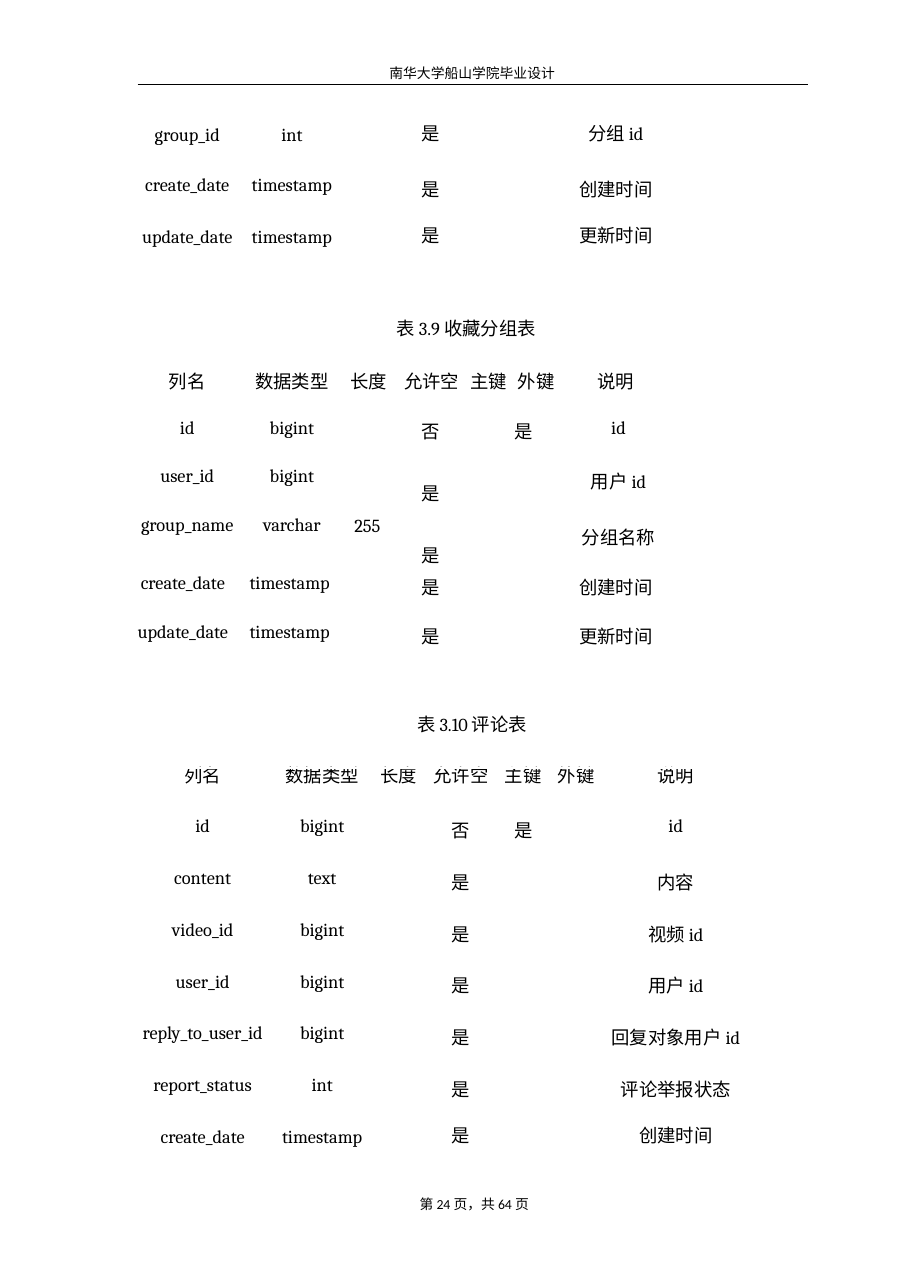
from itertools import groupby

from lxml import etree
from pptx import Presentation
from pptx.dml.color import RGBColor
from pptx.enum.shapes import MSO_CONNECTOR
from pptx.enum.text import PP_ALIGN
from pptx.oxml.ns import qn
from pptx.util import Inches, Pt

BLACK = RGBColor(0, 0, 0)
CJK, SERIF, SANS = "Noto Sans CJK SC", "Cambria", "Calibri"
LEFT, CENTER = PP_ALIGN.LEFT, PP_ALIGN.CENTER
STRAIGHT = MSO_CONNECTOR.STRAIGHT

FAVORITE_COLS = [0.98, 0.92, 0.45, 1.64, 0.78]
FAVORITE_HEIGHTS = [0.33, 0.47, 0.33, 0.95, 0.45, 1.5, 0.71]
FAVORITE_ROWS = [
    ["group_id", "int", "是", "", "分组 id"],
    ["create_date", "timestamp", "是", "", "创建时间"],
    ["update_date", "timestamp", "是", "", "更新时间"],
    ["", "", "", "表 3.9 收藏分组表", ""],
    ["列名", "数据类型", "长度", "允许空\t主键\t外键", "说明"],
    ["id\nuser_id\ngroup_name", "bigint\nbigint\nvarchar", "255",
     "否\t是\n是\n是", "id\n用户 id\n分组名称"],
    ["create_date\nupdate_date", "timestamp\ntimestamp", "",
     "是\n是", "创建时间\n更新时间"],
]
FAVORITE_ROW_FORMATS = [
    dict(top=0, leading=13.9), dict(top=0.13), dict(top=0.13, leading=13.7),
    dict(top=0.59), dict(top=0.12), dict(top=0.13, gap=18),
    dict(top=0.04, gap=14.6),
]
FAVORITE_CELL_FORMATS = {
    (3, 3): dict(left=0.04, align=LEFT),
    (4, 2): dict(left=0.03),
    (4, 3): dict(left=0.11, align=LEFT, tabs=(0.6, 1.03)),
    (5, 2): dict(top=1.02),
    (5, 3): dict(left=0.27, align=LEFT, gap=23.1, tabs=(0.84,)),
    (5, 4): dict(left=0.05, gap=19),
    (6, 0): dict(right=0.08, gap=18),
    (6, 1): dict(right=0.04, gap=18),
    (6, 3): dict(left=0.27, align=LEFT),
}
FAVORITE_CELL_FORMATS.update({(row, 2): dict(right=0.49) for row in range(3)})

COMMENT_COLS = [1.26, 0.91, 0.48, 0.65, 0.48, 0.48, 1.29]
COMMENT_HEIGHTS = [0.31] + [0.47] * 6 + [0.33]
COMMENT_FIELDS = [
    ("content", "text", "内容"),
    ("video_id", "bigint", "视频 id"),
    ("user_id", "bigint", "用户 id"),
    ("reply_to_user_id", "bigint", "回复对象用户 id"),
    ("report_status", "int", "评论举报状态"),
    ("create_date", "timestamp", "创建时间"),
]
COMMENT_ROWS = [
    ["列名", "数据类型", "长度", "允许空", "主键", "外键", "说明"],
    ["id", "bigint", "", "否", "是", "", "id"],
] + [[name, kind, "", "是", "", "", note] for name, kind, note in COMMENT_FIELDS]
COMMENT_ROW_FORMATS = ([dict(top=0, leading=12.7)] + [dict(top=0.13)] * 6
                       + [dict(top=0.13, leading=13.7)])
COMMENT_CELL_FORMATS = {(row, 6): dict(left=0.04) for row in range(8)}


def split_scripts(text):
    """Split into (is_cjk, piece); a space stays with what precedes it."""
    flags, cjk = [], False
    for ch in text:
        if not ch.isspace():
            cjk = ord(ch) > 0x2E00
        flags.append((cjk, ch))
    for key, group in groupby(flags, lambda flag: flag[0]):
        yield key, "".join(ch for _, ch in group)


def write(tf, text, size=12, latin=SERIF, align=CENTER, leading=None,
          gap=0, tabs=()):
    """Write each line of text as a paragraph, gap points apart."""
    for i, line in enumerate(text.split("\n")):
        p = tf.paragraphs[0] if i == 0 else tf.add_paragraph()
        p.alignment = align
        if leading:
            p.line_spacing = Pt(leading)
        if i:
            p.space_before = Pt(gap)
        if "\t" in line:
            stops = etree.SubElement(p._p.get_or_add_pPr(), qn("a:tabLst"))
            for pos in tabs:
                etree.SubElement(stops, qn("a:tab"), pos=str(Inches(pos)), algn="l")
        for is_cjk, piece in split_scripts(line):
            r = p.add_run()
            r.text = piece
            r.font.size = Pt(size)
            r.font.name = CJK if is_cjk else latin
            r.font.color.rgb = BLACK
            if is_cjk:
                etree.SubElement(r._r.get_or_add_rPr(), qn("a:ea"), typeface=CJK)
        if not line:
            etree.SubElement(p._p, qn("a:endParaRPr"), sz=str(size * 100))


def add_label(s, box, text, top=0, **fmt):
    tf = s.shapes.add_textbox(*map(Inches, box)).text_frame
    tf.margin_left = tf.margin_right = tf.margin_bottom = 0
    tf.margin_top = Inches(top)
    tf.word_wrap = False
    write(tf, text, **fmt)


def fill_cell(cell, text, top=0, left=0, right=0, **fmt):
    cell.fill.background()
    cell.margin_top, cell.margin_left = Inches(top), Inches(left)
    cell.margin_right, cell.margin_bottom = Inches(right), 0
    write(cell.text_frame, text, **fmt)


def add_field_table(s, x, y, cols, heights, rows, row_formats, cell_formats):
    table = s.shapes.add_table(
        len(rows), len(cols), Inches(x), Inches(y),
        Inches(sum(cols)), Inches(sum(heights))).table
    table.first_row = table.horz_banding = False
    for col, width in zip(table.columns, cols):
        col.width = Inches(width)
    for i, (height, texts) in enumerate(zip(heights, rows)):
        table.rows[i].height = Inches(height)
        for j, text in enumerate(texts):
            fill_cell(table.cell(i, j), text,
                      **{**row_formats[i], **cell_formats.get((i, j), {})})
    return table


def add_header(s, x, y, width):
    add_label(s, (x + 2.27, y, 1.53, 0.18), "南华大学船山学院毕业设计",
              top=0.01, size=9)
    rule_y = Inches(y + 0.19)
    rule = s.shapes.add_connector(STRAIGHT, Inches(x), rule_y,
                                  Inches(x + width), rule_y)
    rule.line.color.rgb = BLACK
    rule.line.width = Pt(0.75)
    etree.SubElement(rule._element.spPr, qn("a:effectLst"))


def add_favorite_tables(s, x, y):
    table = add_field_table(s, x, y, FAVORITE_COLS, FAVORITE_HEIGHTS,
                            FAVORITE_ROWS, FAVORITE_ROW_FORMATS,
                            FAVORITE_CELL_FORMATS)
    for row in range(3):
        table.cell(row, 2).merge(table.cell(row, 3))


def add_comment_table(s, x, y):
    add_label(s, (x + 2.51, y, 1.13, 0.23), "表 3.10 评论表", top=0.01)
    add_field_table(s, x, y + 0.51, COMMENT_COLS, COMMENT_HEIGHTS, COMMENT_ROWS,
                    COMMENT_ROW_FORMATS, COMMENT_CELL_FORMATS)


def main():
    prs = Presentation()
    prs.slide_width, prs.slide_height = Inches(8.26), Inches(11.69)
    s = prs.slides.add_slide(prs.slide_layouts[6])
    add_header(s, 1.25, 0.58, 6.08)
    add_favorite_tables(s, 1.21, 1.13)
    add_comment_table(s, 1.21, 6.46)
    add_label(s, (3.74, 10.85, 1.13, 0.17), "第 24 页，共 64 页",
              size=9, latin=SANS, leading=10.8)
    prs.save("out.pptx")


if __name__ == "__main__":
    main()
